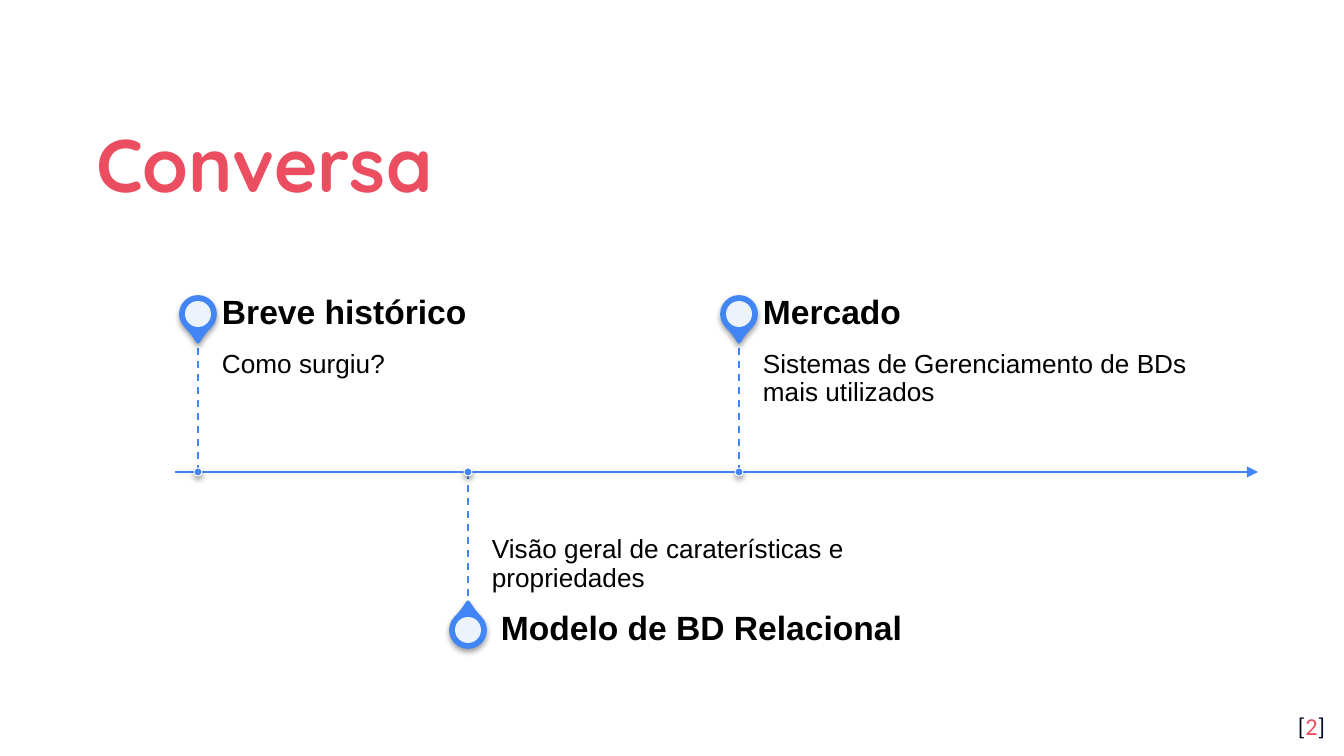
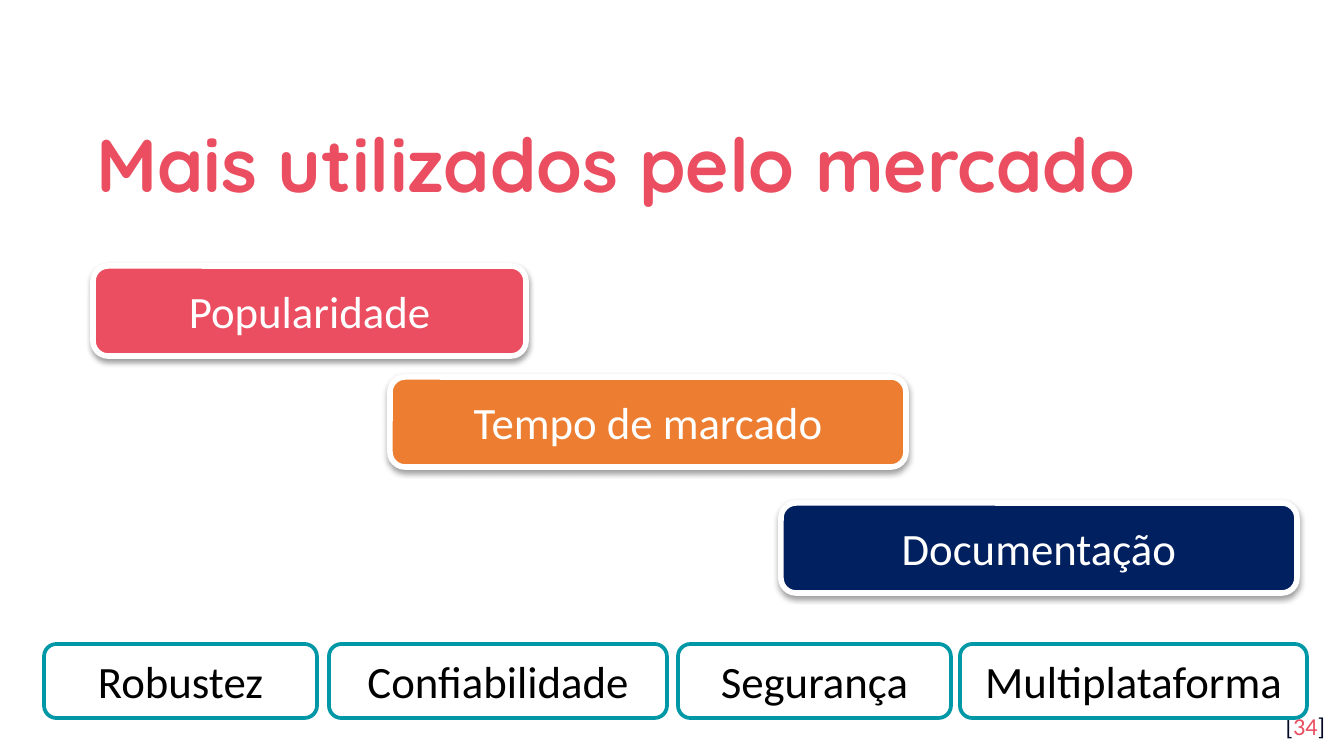
import dataclasses

import lxml.etree
import pptx
import pptx.dml.color
import pptx.enum.dml
import pptx.enum.shapes
import pptx.enum.text
import pptx.oxml
import pptx.oxml.ns
import pptx.util


@dataclasses.dataclass(frozen=True)
class Theme:
    red: str = "EA4E60"
    blue: str = "4285F4"
    orange: str = "ED7D31"
    navy: str = "002060"
    teal: str = "0097A7"
    ink: str = "040A24"
    black: str = "000000"
    white: str = "FFFFFF"
    title: int = 40
    tag: int = 24
    head: int = 18
    body: int = 14
    page: int = 13


theme = Theme()
px = 914400 / 134.4
qn = pptx.oxml.ns.qn
rgb = pptx.dml.color.RGBColor.from_string
kind = pptx.enum.shapes.MSO_SHAPE
anchor = pptx.enum.text.MSO_ANCHOR
align = pptx.enum.text.PP_ALIGN
shade = (
    f'<a:outerShdw {pptx.oxml.ns.nsdecls("a")} blurRad="40000" dist="20000" '
    'dir="5400000" rotWithShape="0"><a:srgbClr val="000000">'
    '<a:alpha val="38000"/></a:srgbClr></a:outerShdw>'
)


def form(slide, shape, area, fill, edge=None, width=0, shadow=False):
    """Add a filled preset shape; area is left, top, width, height in px."""
    item = slide.shapes.add_shape(shape, *[round(n * px) for n in area])
    item.fill.solid()
    item.fill.fore_color.rgb = rgb(fill)
    if edge:
        item.line.color.rgb = rgb(edge)
        item.line.width = pptx.util.Pt(width)
    else:
        item.line.fill.background()
    item.shadow.inherit = False
    if shadow:
        effects = item.element.spPr.find(qn("a:effectLst"))
        effects.append(pptx.oxml.parse_xml(shade))
    return item


def write(item, runs, face, size, bold=False, pad=None, side=align.LEFT,
          hold=anchor.MIDDLE, lead=None):
    """Fill a text frame with (text, colour) runs; pad is in px."""
    frame = item.text_frame
    frame.word_wrap = True
    frame.auto_size = pptx.enum.text.MSO_AUTO_SIZE.NONE
    frame.vertical_anchor = hold
    if pad:
        (frame.margin_left, frame.margin_top, frame.margin_right,
         frame.margin_bottom) = [round(n * px) for n in pad]
    para = frame.paragraphs[0]
    para.alignment = side
    para.line_spacing = lead
    para.font.name = face
    para.font.size = pptx.util.Pt(size)
    para.font.bold = bold
    for text, color in runs:
        run = para.add_run()
        run.text = text
        run.font.color.rgb = rgb(color)


deck = pptx.Presentation()
deck.slide_width, deck.slide_height = round(1344 * px), round(756 * px)

# Title and page number on both slides
slides = []
for text, page in [("Conversa", "2"), ("Mais utilizados pelo mercado", "34")]:
    slide = deck.slides.add_slide(deck.slide_layouts[5])
    slides.append(slide)
    title = slide.shapes.title
    title.left, title.top, title.width, title.height = [
        round(n * px) for n in (83, 94, 1179, 124)]
    write(title, [(text, theme.red)], "Quicksand", theme.title, bold=True,
          pad=(13, 13, 13, 13), lead=1.15)
    foot = slide.shapes.add_textbox(
        *[round(n * px) for n in (1258, 698, 80, 58)])
    write(foot, [("[", theme.ink), (page, theme.red), ("]", theme.ink)],
          "Calibri", theme.page, pad=(13, 13, 13, 13), side=align.RIGHT,
          hold=anchor.TOP)
talk, market = slides

# Timeline: the axis, then stems that rise (-1) or drop (1) from it
axis, stem = 472, 134
steps = [
    (198, -1, "Breve histórico", "Como surgiu?", 0),
    (468, 1, "Modelo de BD Relacional",
     "Visão geral de caraterísticas e propriedades", 9),
    (739, -1, "Mercado",
     "Sistemas de Gerenciamento de BDs mais utilizados", 0),
]
lines = [(175, axis, 1258, axis)]
lines += [(x, axis, x, axis + way * stem) for x, way, *_ in steps]
for rank, ends in enumerate(lines):
    line = talk.shapes.add_connector(
        pptx.enum.shapes.MSO_CONNECTOR.STRAIGHT, *[round(n * px) for n in ends])
    line.line.color.rgb = rgb(theme.blue)
    line.line.width = pptx.util.Pt(1 if rank else 1.5)
    props = line.element.spPr
    if rank:
        line.line.dash_style = pptx.enum.dml.MSO_LINE.DASH
    else:
        lines_end = lxml.etree.SubElement(props.find(qn("a:ln")), qn("a:tailEnd"))
        lines_end.set("type", "triangle")
    lxml.etree.SubElement(props, qn("a:effectLst"))

for x, way, head, body, indent in steps:
    mid = axis + way * 158
    pin = form(talk, kind.TEAR, (x - 17, mid - 17, 34, 34), theme.blue,
               theme.blue, 2, shadow=True)
    pin.adjustments[0] = 1.15
    pin.rotation = 135 if way < 0 else 315
    eye = form(talk, kind.OVAL, (x - 13, mid - 13, 26, 26), theme.white)
    tint = eye.element.spPr.find(qn("a:solidFill")).find(qn("a:srgbClr"))
    lxml.etree.SubElement(tint, qn("a:alpha")).set("val", "90000")
    form(talk, kind.OVAL, (x - 4, axis - 4, 8, 8), theme.blue, theme.white,
         0.5, shadow=True)

    up = way < 0
    note = talk.shapes.add_textbox(
        *[round(n * px) for n in (x + 24, axis - stem if up else axis, 450, stem)])
    write(note, [(body, theme.black)], "Arial", theme.body, lead=0.9,
          pad=(0, 13, 13, 20) if up else (0, 20, 0, 13),
          hold=anchor.TOP if up else anchor.BOTTOM)
    name = talk.shapes.add_textbox(
        *[round(n * px) for n in (x + 24, 290 if up else 606, 450, 47)])
    write(name, [(head, theme.black)], "Arial", theme.head, bold=True,
          pad=(indent, 0, 16, 0), lead=0.9)

# Criteria: a staircase of bold cards above a row of outlined ones
for text, x, y, width, fill in [
    ("Popularidade", 93, 266, 433, theme.red),
    ("Tempo de marcado", 390, 377, 516, theme.orange),
    ("Documentação", 781, 503, 516, theme.navy),
]:
    card = form(market, kind.ROUNDED_RECTANGLE, (x, y, width, 90), fill,
                theme.white, 3, shadow=True)
    write(card, [(text, theme.white)], "Calibri", theme.tag, side=align.CENTER)

for text, x, width in [
    ("Robustez", 44, 273),
    ("Confiabilidade", 329, 338),
    ("Segurança", 678, 273),
    ("Multiplataforma", 960, 347),
]:
    card = form(market, kind.ROUNDED_RECTANGLE, (x, 644, width, 74),
                theme.white, theme.teal, 2)
    write(card, [(text, theme.black)], "Calibri", theme.tag, side=align.CENTER)

deck.save("out.pptx")
